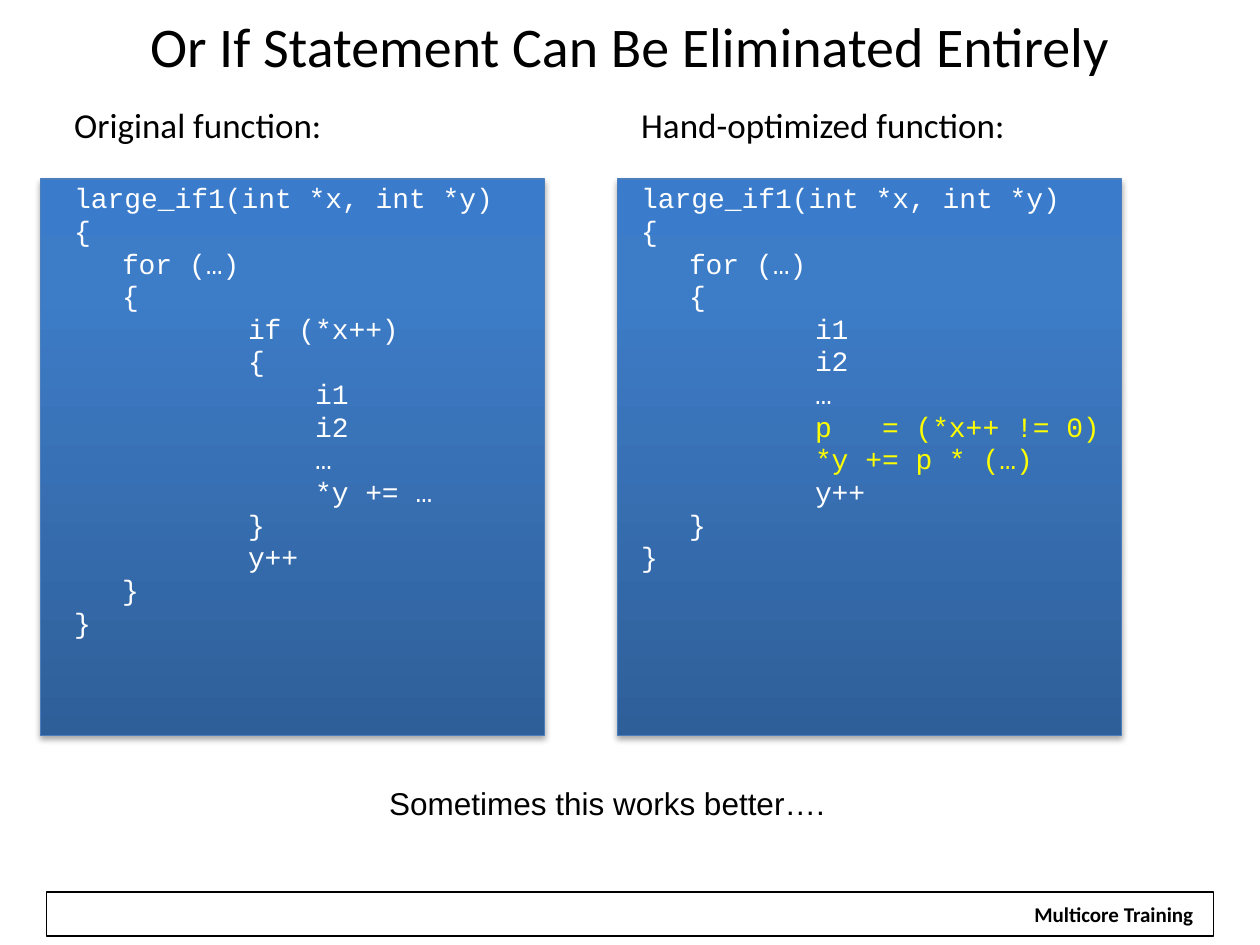
from dataclasses import dataclass

from pptx import Presentation
from pptx.dml.color import RGBColor as RGB
from pptx.enum.shapes import MSO_SHAPE as SHAPE
from pptx.enum.text import MSO_ANCHOR as ANCHOR, MSO_AUTO_SIZE as AUTO, PP_ALIGN as ALIGN
from pptx.oxml import parse_xml
from pptx.oxml.ns import nsdecls
from pptx.util import Inches, Pt


@dataclass(frozen=True)
class Theme:
    """Fonts, type sizes, colours and spacing of the slide."""
    body: str = "Calibri"
    code: str = "Courier New"
    plain: str = "Arial"
    title_size: int = 32
    heading_size: int = 20
    note_size: int = 18
    code_size: int = 16
    footer_size: int = 12
    ink: str = "000000"
    paper: str = "FFFFFF"
    accent: str = "FFFF00"
    edge: str = "4B7EBC"
    gradient: tuple = ((0, "2F5F99"), (80, "3D7CC7"), (100, "3A7CCB"))
    hairline: float = 0.75
    leading: float = 0.8
    code_gap: float = 3.3


T = Theme()
COLS, ROWS = 100, 75
WIDTH, HEIGHT = Inches(10), Inches(7.5)

ORIGINAL = """large_if1(int *x, int *y)
{
\tfor (…)
\t{
\t\tif (*x++)
\t\t{
\t\t    i1
\t\t    i2
\t\t    …
\t\t    *y += …
\t\t}
\t\ty++
\t}
}"""

OPTIMIZED = """large_if1(int *x, int *y)
{
\tfor (…)
\t{
\t\ti1
\t\ti2
\t\t…
\t\tp   = (*x++ != 0)
\t\t*y += p * (…)
\t\ty++
\t}
}"""


def place(box):
    """Turn a box of grid columns and rows into slide lengths."""
    x, y, w, h = box
    return [int(v) for v in (WIDTH * x / COLS, HEIGHT * y / ROWS,
                             WIDTH * w / COLS, HEIGHT * h / ROWS)]


def style(p, font, size, color, bold=False):
    """Format every run of a paragraph."""
    for r in p.runs:
        r.font.name, r.font.size, r.font.bold = font, Pt(size), bold
        r.font.color.rgb = RGB.from_string(color)


def add_text(s, box, text, font, size, color=T.ink, wrap=True, bold=False, align=ALIGN.LEFT):
    """Add a text box with one format and return its shape."""
    sp = s.shapes.add_textbox(*place(box))
    tf = sp.text_frame
    tf.text = text
    tf.word_wrap = wrap
    if not wrap:
        tf.auto_size = AUTO.SHAPE_TO_FIT_TEXT
    for p in tf.paragraphs:
        p.alignment = align
        style(p, font, size, color, bold)
    return sp


def add_frame(s, box, edge):
    """Add an unfilled rectangle with a thin edge."""
    sp = s.shapes.add_shape(SHAPE.RECTANGLE, *place(box))
    sp.shadow.inherit = False
    sp.fill.background()
    sp.line.color.rgb = RGB.from_string(edge)
    sp.line.width = Pt(T.hairline)
    return sp


def add_panel(s, box):
    """Add a rectangle with a vertical gradient and a soft shadow."""
    spPr = add_frame(s, box, T.edge)._element.spPr
    stops = "".join(f'<a:gs pos="{pos * 1000}"><a:srgbClr val="{color}"/></a:gs>'
                    for pos, color in T.gradient)
    spPr.replace(spPr.find("{*}noFill"), parse_xml(
        f'<a:gradFill {nsdecls("a")} rotWithShape="1"><a:gsLst>{stops}</a:gsLst>'
        '<a:lin ang="16200000" scaled="0"/></a:gradFill>'))
    spPr.find("{*}effectLst").append(parse_xml(
        f'<a:outerShdw {nsdecls("a")} blurRad="{Pt(3.1)}" dist="{Pt(1.8)}" dir="5400000"'
        f' rotWithShape="0"><a:srgbClr val="{T.ink}"><a:alpha val="35000"/></a:srgbClr>'
        '</a:outerShdw>'))


def add_title(s, box, text):
    """Add the centred slide title."""
    sp = add_text(s, box, text, T.body, T.title_size, align=ALIGN.CENTER)
    sp.text_frame.vertical_anchor = ANCHOR.MIDDLE


def add_listing(s, panel, text_left, heading, code, accents=()):
    """Add a heading and a code panel, with the accented lines coloured."""
    _, top, _, height = panel
    add_panel(s, panel)
    head = add_text(s, (text_left, top - 5.8, 44.2, 5), heading, T.body, T.heading_size)
    head.text_frame.paragraphs[0].line_spacing = T.leading
    sp = add_text(s, (text_left, top + 0.17, 44.2, height - 1), code,
                  T.code, T.code_size, T.paper)
    for i, p in enumerate(sp.text_frame.paragraphs):
        pPr = p._p.get_or_add_pPr()
        pPr.set("marL", str(Inches(0.38)))
        pPr.set("indent", str(-Inches(0.38)))
        pPr.set("defTabSz", str(Inches(1)))
        p.line_spacing = T.leading
        p.space_before = Pt(T.code_gap if i else 0)
        if i in accents:
            style(p, T.code, T.code_size, T.accent)


def add_footer(s, box, text):
    """Add the footer bar with its label at the right end."""
    x, y, w, _ = box
    add_frame(s, box, T.ink)
    label = add_text(s, (x + w - 15.3, y + 0.3, 14.8, 3), text, T.body, T.footer_size,
                     wrap=False, bold=True, align=ALIGN.CENTER)
    label.fill.solid()
    label.fill.fore_color.rgb = RGB.from_string(T.paper)


def main():
    """Build the slide and save it."""
    prs = Presentation()
    prs.slide_width, prs.slide_height = WIDTH, HEIGHT
    s = prs.slides.add_slide(prs.slide_layouts[6])
    add_footer(s, (3.7, 70.8, 92.6, 3.5), "Multicore Training")
    add_title(s, (0, 0, COLS, 7.1), "Or If Statement Can Be Eliminated Entirely")
    add_listing(s, (3.2, 14.2, 40, 44.2), 4.9, "Original function:", ORIGINAL)
    add_listing(s, (49, 14.2, 40, 44.2), 49.9, "Hand-optimized function:", OPTIMIZED, (7, 8))
    add_text(s, (29.9, 61.7, 36.6, 4), "Sometimes this works better….",
             T.plain, T.note_size, wrap=False)
    prs.save("out.pptx")


if __name__ == "__main__":
    main()
